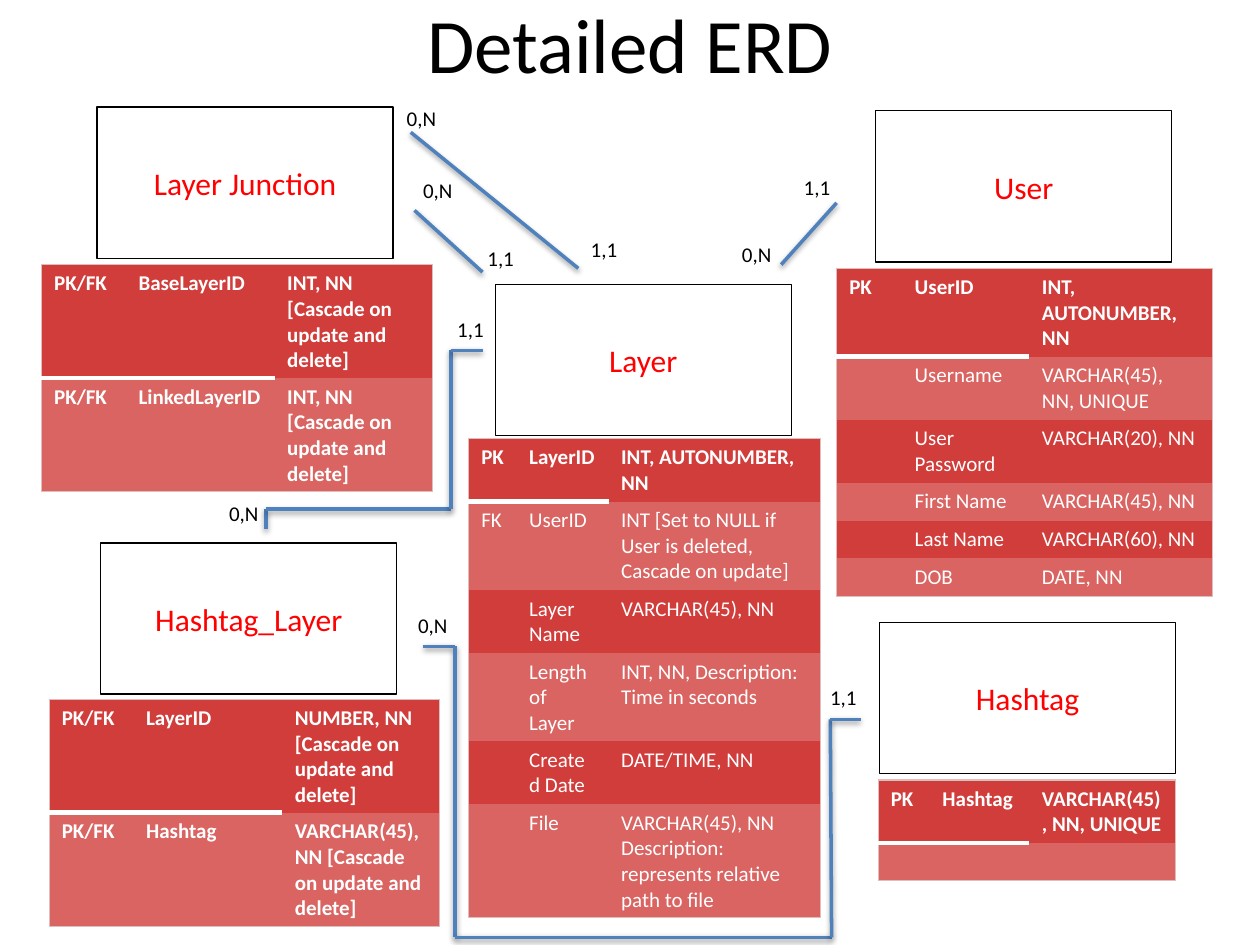
from itertools import pairwise

from lxml.etree import SubElement
from pptx import Presentation
from pptx.dml.color import RGBColor
from pptx.enum.shapes import MSO_CONNECTOR, MSO_SHAPE
from pptx.enum.text import MSO_ANCHOR, MSO_AUTO_SIZE, PP_ALIGN
from pptx.oxml.ns import qn
from pptx.util import Inches, Pt

COLORS = {
    "text": "000000",
    "entity": "FF0000",
    "link": "4F81BD",
    "cell": "FFFFFF",
    "dark": "D03D3B",
    "light": "D96462",
    "border": "DEBDBD",
}
NO_STYLE = "{2D5ABB26-0587-4C30-8999-92F81FD0307C}"


def rgb(name):
    return RGBColor.from_string(COLORS[name])


class Diagram:
    font = "Calibri"

    def __init__(self, slide):
        self.s = slide

    def run(self, p, text, size, color, bold=False):
        r = p.add_run()
        r.text = text
        r.font.name = self.font
        r.font.size = Pt(size)
        r.font.bold = bold
        r.font.color.rgb = rgb(color)

    def text(self, x, y, w, h, text, size=12, title=False):
        sp = self.s.shapes.add_textbox(Inches(x), Inches(y), Inches(w), Inches(h))
        tf = sp.text_frame
        tf.word_wrap = True
        if title:
            tf.vertical_anchor = MSO_ANCHOR.MIDDLE
            tf.paragraphs[0].alignment = PP_ALIGN.CENTER
        else:
            tf.auto_size = MSO_AUTO_SIZE.SHAPE_TO_FIT_TEXT
        self.run(tf.paragraphs[0], text, size, "text")

    def entity(self, x, y, name):
        sp = self.s.shapes.add_shape(
            MSO_SHAPE.RECTANGLE, Inches(x), Inches(y), Inches(2.35), Inches(1.2))
        sp.shadow.inherit = False
        sp.fill.background()
        sp.line.color.rgb = rgb("text")
        sp.line.width = Pt(0.75)
        tf = sp.text_frame
        tf.vertical_anchor = MSO_ANCHOR.MIDDLE
        p = tf.paragraphs[0]
        p.alignment = PP_ALIGN.CENTER
        self.run(p, name, 18, "entity")

    def link(self, points):
        for start, end in pairwise(points):
            sp = self.s.shapes.add_connector(
                MSO_CONNECTOR.STRAIGHT, *map(Inches, start + end))
            sp.line.color.rgb = rgb("link")
            sp.line.width = Pt(2)
            effects = SubElement(sp._element.spPr, qn("a:effectLst"))
            shadow = SubElement(effects, qn("a:outerShdw"), blurRad="40000",
                                dist="20000", dir="5400000", rotWithShape="0")
            black = SubElement(shadow, qn("a:srgbClr"), val=COLORS["text"])
            SubElement(black, qn("a:alpha"), val="38000")

    def border(self, cell, side, color, width):
        ln = SubElement(cell._tc.get_or_add_tcPr(), qn("a:ln" + side),
                        w=str(Pt(width)))
        fill = SubElement(ln, qn("a:solidFill"))
        SubElement(fill, qn("a:srgbClr"), val=COLORS[color])

    def table(self, x, y, widths, rows, bold_rows=1):
        """Each row is (line count, key, field, type)."""
        heights = [0.1 + 0.2 * row[0] for row in rows]
        frame = self.s.shapes.add_table(
            len(rows), len(widths), Inches(x), Inches(y),
            Inches(sum(widths)), Inches(sum(heights)))
        table = frame.table
        table._tbl.tblPr.find(qn("a:tableStyleId")).text = NO_STYLE
        for col, width in zip(table.columns, widths):
            col.width = Inches(width)
        last_row, last_col = len(rows) - 1, len(widths) - 1
        for i, (_, *values) in enumerate(rows):
            table.rows[i].height = Inches(heights[i])
            for j, value in enumerate(values):
                cell = table.cell(i, j)
                # Outer frame, and a thick rule under the key and field headings
                for side, at_edge in (("L", j == 0), ("R", j == last_col),
                                      ("T", i == 0), ("B", i == last_row)):
                    if at_edge:
                        self.border(cell, side, "border", 0.75)
                if i == 0 and j < last_col:
                    self.border(cell, "B", "cell", 3)
                cell.fill.solid()
                cell.fill.fore_color.rgb = rgb("light" if i % 2 else "dark")
                tf = cell.text_frame
                for k, line in enumerate(value.split("\n")):
                    p = tf.add_paragraph() if k else tf.paragraphs[0]
                    if line:
                        self.run(p, line, 12, "cell", i < bold_rows)
                    else:
                        SubElement(p._p, qn("a:endParaRPr"), sz="1200")


prs = Presentation()
prs.slide_width, prs.slide_height = Inches(10), Inches(7.5)
d = Diagram(prs.slides.add_slide(prs.slide_layouts[6]))

# Title and entities
d.text(0.5, -0.29, 9, 1.25, "Detailed ERD", 44, title=True)
for x, y, name in [
    (3.93, 2.26, "Layer"),
    (0.77, 0.85, "Layer Junction"),
    (6.95, 0.88, "User"),
    (0.8, 4.31, "Hashtag_Layer"),
    (6.98, 4.94, "Hashtag"),
]:
    d.entity(x, y, name)

# Attribute tables
CASCADE = "[Cascade on update and delete]"
JUNCTION_WIDTHS = [0.67, 1.18, 1.25]
d.table(0.33, 2.1, JUNCTION_WIDTHS, [
    (4, "PK/FK", "BaseLayerID", "INT, NN " + CASCADE),
    (4, "PK/FK", "LinkedLayerID", "INT, NN " + CASCADE),
], bold_rows=2)
d.table(3.72, 3.48, [0.38, 0.73, 1.68], [
    (2, "PK", "LayerID", "INT, AUTONUMBER, NN"),
    (3, "FK", "UserID", "INT [Set to NULL if User is deleted, Cascade on update]"),
    (2, "", "Layer Name", "VARCHAR(45), NN"),
    (3, "", "Length of Layer", "INT, NN, Description: Time in seconds"),
    (2, "", "Created Date", "DATE/TIME, NN"),
    (4, "", "File",
     "VARCHAR(45), NN\nDescription: represents relative path to file"),
])
d.table(6.64, 2.13, [0.52, 1.01, 1.45], [
    (3, "PK", "UserID", "INT, AUTONUMBER, NN"),
    (2, "", "Username", "VARCHAR(45), NN, UNIQUE"),
    (2, "", "User Password", "VARCHAR(20), NN"),
    (1, "", "First Name", "VARCHAR(45), NN"),
    (1, "", "Last Name", "VARCHAR(60), NN"),
    (1, "", "DOB", "DATE, NN"),
])
d.table(6.97, 6.19, [0.41, 0.79, 1.16], [
    (2, "PK", "Hashtag", "VARCHAR(45), NN, UNIQUE"),
    (1, "", "", ""),
])
d.table(0.39, 5.55, JUNCTION_WIDTHS, [
    (4, "PK/FK", "LayerID", "NUMBER, NN " + CASCADE),
    (4, "PK/FK", "Hashtag", "VARCHAR(45), NN " + CASCADE),
], bold_rows=2)

# Relationship lines
for points in [
    [(6.2, 2.1), (6.64, 1.61)],
    [(3.29, 1.67), (3.83, 2.16)],
    [(3.26, 1.05), (4.59, 2.13)],
    [(2.11, 4.2), (2.11, 4.04), (3.58, 4.04), (3.58, 2.78), (3.83, 2.78)],
    [(3.36, 5.13), (3.61, 5.13), (3.61, 7.44), (6.6, 7.44), (6.59, 5.71),
     (6.83, 5.71)],
]:
    d.link(points)

# Cardinalities
for cardinality, places in {
    "1,1": [(6.28, 1.34, 0.52), (3.77, 1.9, 0.6), (3.53, 2.46, 0.42),
            (6.49, 5.38, 0.54), (4.59, 1.83, 0.6)],
    "0,N": [(5.79, 1.87, 0.5), (3.26, 1.36, 0.73), (1.72, 3.92, 0.5),
            (3.22, 4.81, 0.5), (3.13, 0.79, 0.73)],
}.items():
    for x, y, w in places:
        d.text(x, y, w, 0.3, cardinality)

prs.save("out.pptx")
